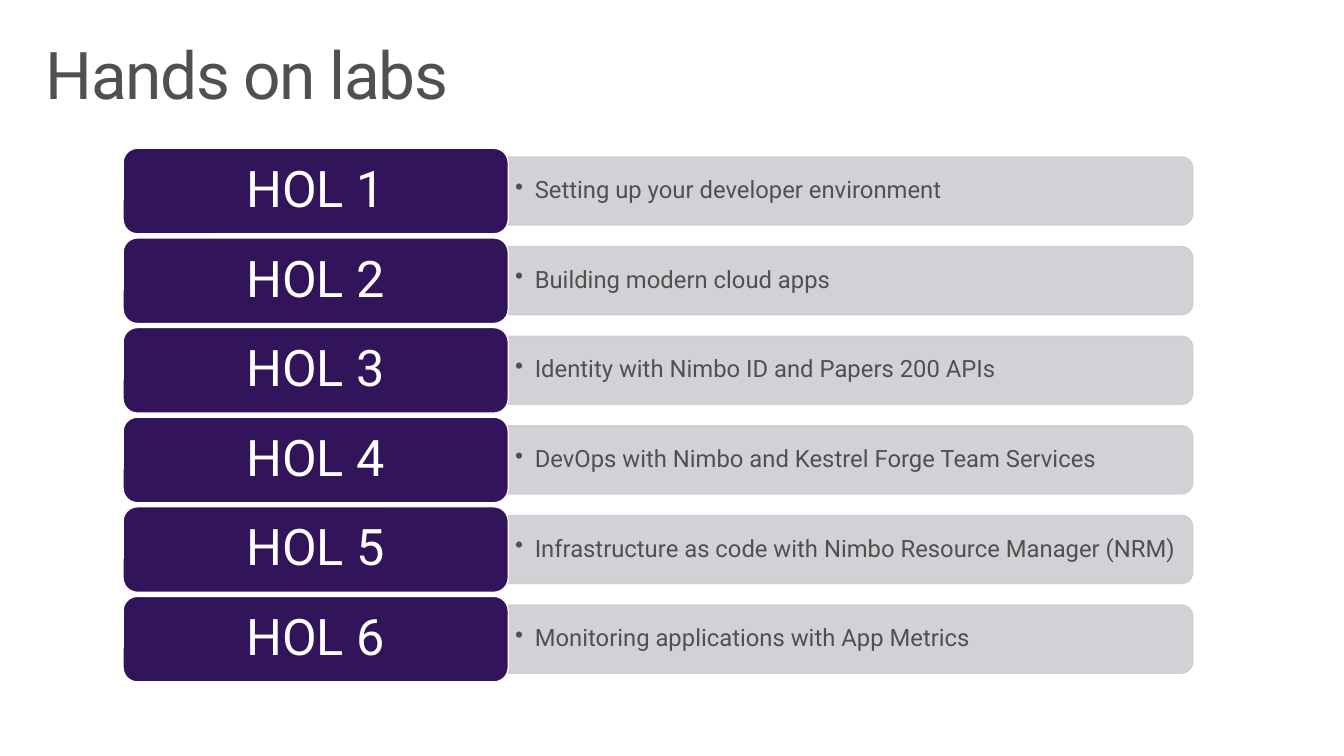
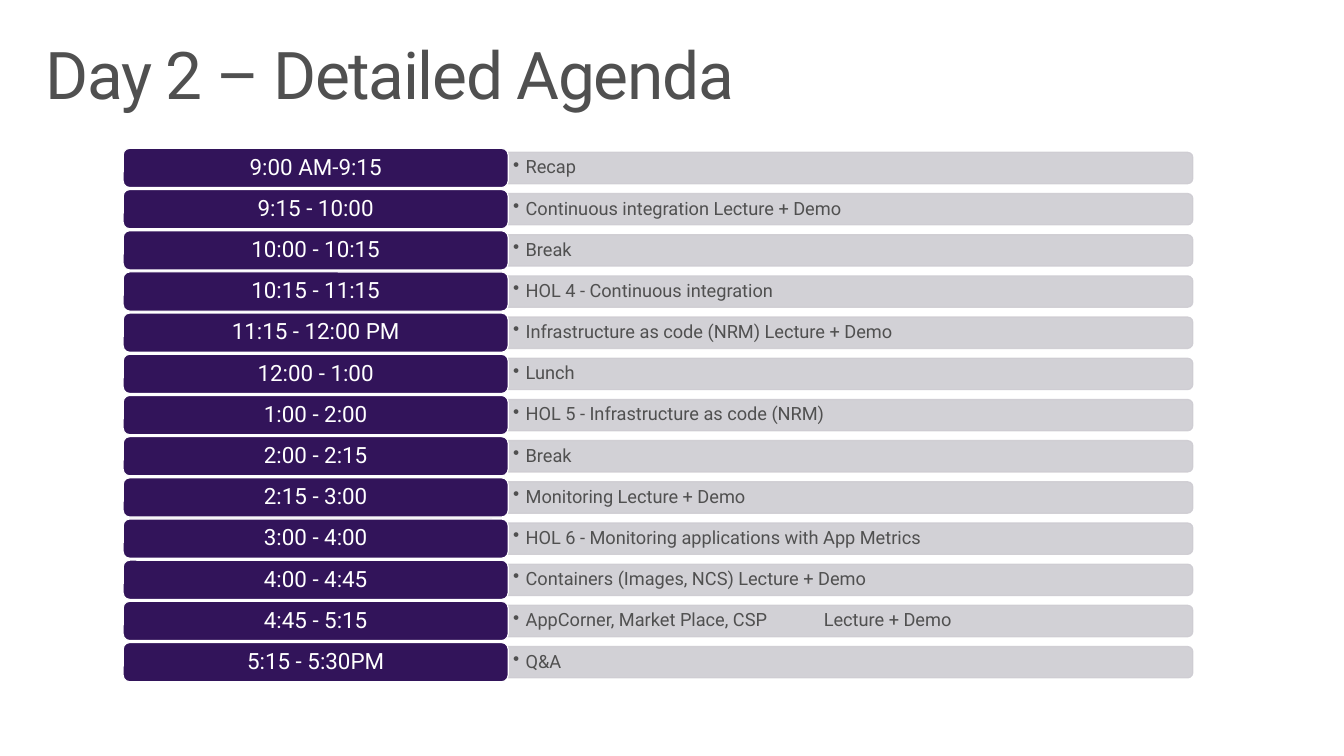
"""Build the hands-on labs overview and the detailed agenda for day two."""
from dataclasses import dataclass

from lxml.etree import SubElement
from pptx import Presentation
from pptx.dml.color import RGBColor as Rgb
from pptx.enum.shapes import MSO_SHAPE as Shape
from pptx.enum.text import MSO_ANCHOR as Anchor, PP_ALIGN as Align
from pptx.oxml.ns import qn
from pptx.util import Pt


@dataclass(frozen=True)
class Theme:
    font: str = "Roboto"
    ink: Rgb = Rgb.from_string("505050")
    label_fill: Rgb = Rgb.from_string("32145A")
    bar_fill: Rgb = Rgb.from_string("CECCD2")
    white: Rgb = Rgb.from_string("FFFFFF")
    title_size: float = 47
    outline: float = 0.85
    leading: float = 0.9
    bar_opacity: int = 90


@dataclass(frozen=True)
class RowStyle:
    label_size: float
    detail_size: float
    hanging: float
    inset: float


THEME = Theme()
LAB_ROWS = RowStyle(label_size=36, detail_size=17, hanging=14, inset=5)
AGENDA_ROWS = RowStyle(label_size=16, detail_size=13, hanging=9, inset=3.5)

ROWS_LEFT, ROWS_TOP, ROWS_HEIGHT = 88, 106, 381
LABEL_WIDTH, BAR_WIDTH = 275, 489
GAP_RATIO, BAR_RATIO = 0.05, 0.8
DETAIL_TAB = 222

LABS = [
    ("HOL 1", "Setting up your developer environment"),
    ("HOL 2", "Building modern cloud apps"),
    ("HOL 3", "Identity with Nimbo ID and Papers 200 APIs"),
    ("HOL 4", "DevOps with Nimbo and Kestrel Forge Team Services"),
    ("HOL 5", "Infrastructure as code with Nimbo Resource Manager (NRM)"),
    ("HOL 6", "Monitoring applications with App Metrics"),
]

AGENDA = [
    ("9:00 AM-9:15", "Recap"),
    ("9:15 - 10:00", "Continuous integration Lecture + Demo"),
    ("10:00 - 10:15", "Break"),
    ("10:15 - 11:15", "HOL 4 - Continuous integration"),
    ("11:15 - 12:00 PM", "Infrastructure as code (NRM) Lecture + Demo"),
    ("12:00 - 1:00", "Lunch"),
    ("1:00 - 2:00", "HOL 5 - Infrastructure as code (NRM)"),
    ("2:00 - 2:15", "Break"),
    ("2:15 - 3:00", "Monitoring Lecture + Demo"),
    ("3:00 - 4:00", "HOL 6 - Monitoring applications with App Metrics"),
    ("4:00 - 4:45", "Containers (Images, NCS) Lecture + Demo"),
    ("4:45 - 5:15", "AppCorner, Market Place, CSP\tLecture + Demo"),
    ("5:15 - 5:30PM", "Q&A"),
]


def set_insets(frame, horizontal, vertical):
    """Set equal side margins and equal top and bottom margins."""
    frame.margin_left = frame.margin_right = Pt(horizontal)
    frame.margin_top = frame.margin_bottom = Pt(vertical)


def format_line(line, size, color, align=Align.LEFT):
    """Apply the shared font and leading to a paragraph."""
    line.alignment = align
    line.line_spacing = THEME.leading
    line.font.name = THEME.font
    line.font.size = Pt(size)
    line.font.color.rgb = color


def add_bullet(line, hanging):
    """Give a paragraph a hanging round bullet and a stop for any tab."""
    properties = line._p.get_or_add_pPr()
    properties.set("marL", str(Pt(hanging)))
    properties.set("indent", str(-Pt(hanging)))
    SubElement(properties, qn("a:buChar"), char="•")
    if "\t" in line.text:
        stops = SubElement(properties, qn("a:tabLst"))
        SubElement(stops, qn("a:tab"), pos=str(Pt(DETAIL_TAB)), algn="l")


def paint(shape, fill, outline):
    """Fill and outline a shape without a shadow."""
    shape.shadow.inherit = False
    shape.fill.solid()
    shape.fill.fore_color.rgb = fill
    shape.line.color.rgb = outline
    shape.line.width = Pt(THEME.outline)


def add_titled_slide(deck, heading):
    """Add a title-only slide with the heading at the upper left."""
    slide = deck.slides.add_slide(deck.slide_layouts[5])
    title = slide.shapes.title
    title.left, title.top, title.width, title.height = Pt(21), Pt(23), Pt(918), Pt(70.5)
    frame = title.text_frame
    frame.text = heading
    frame.vertical_anchor = Anchor.TOP
    set_insets(frame, 11.5, 7.2)
    line = frame.paragraphs[0]
    format_line(line, THEME.title_size, THEME.ink)
    line.runs[0]._r.get_or_add_rPr().set("spc", "-100")
    return slide


def add_bar(slide, middle, thickness):
    """Add a translucent bar that is rounded at its right end."""
    center = ROWS_LEFT + LABEL_WIDTH + BAR_WIDTH / 2
    bar = slide.shapes.add_shape(
        Shape.ROUND_2_SAME_RECTANGLE,
        Pt(center - thickness / 2), Pt(middle - BAR_WIDTH / 2),
        Pt(thickness), Pt(BAR_WIDTH))
    bar.rotation = 90
    paint(bar, THEME.bar_fill, THEME.bar_fill)
    for color in bar._element.spPr.iter(qn("a:srgbClr")):
        SubElement(color, qn("a:alpha"), val=str(THEME.bar_opacity * 1000))


def add_detail(slide, detail, middle, height, style):
    """Add the bulleted text that lies on a bar."""
    box = slide.shapes.add_textbox(
        Pt(ROWS_LEFT + LABEL_WIDTH), Pt(middle - height / 2),
        Pt(BAR_WIDTH - 2), Pt(height))
    frame = box.text_frame
    frame.word_wrap = True
    frame.vertical_anchor = Anchor.MIDDLE
    set_insets(frame, style.inset, 2)
    line = frame.paragraphs[0]
    line.text = detail
    add_bullet(line, style.hanging)
    format_line(line, style.detail_size, THEME.ink)


def add_label(slide, label, top, height, style):
    """Add the dark rounded block that heads a row."""
    block = slide.shapes.add_shape(
        Shape.ROUNDED_RECTANGLE,
        Pt(ROWS_LEFT), Pt(top), Pt(LABEL_WIDTH), Pt(height))
    paint(block, THEME.label_fill, THEME.white)
    frame = block.text_frame
    frame.vertical_anchor = Anchor.MIDDLE
    set_insets(frame, 5, 2)
    frame.text = label
    format_line(frame.paragraphs[0], style.label_size, THEME.white, Align.CENTER)


def add_rows(slide, entries, style):
    """Share the fixed row area evenly among the entries."""
    count = len(entries)
    height = ROWS_HEIGHT / (count + GAP_RATIO * (count - 1))
    thickness = height * BAR_RATIO
    for index, (label, detail) in enumerate(entries):
        top = ROWS_TOP + index * height * (1 + GAP_RATIO)
        middle = top + height / 2
        add_bar(slide, middle, thickness)
        add_detail(slide, detail, middle, thickness * 0.9, style)
        add_label(slide, label, top, height, style)


def main():
    """Build both slides and save the deck."""
    deck = Presentation()
    deck.slide_width, deck.slide_height = Pt(960), Pt(540)
    add_rows(add_titled_slide(deck, "Hands on labs"), LABS, LAB_ROWS)
    add_rows(add_titled_slide(deck, "Day 2 – Detailed Agenda"), AGENDA, AGENDA_ROWS)
    deck.save("out.pptx")


if __name__ == "__main__":
    main()
